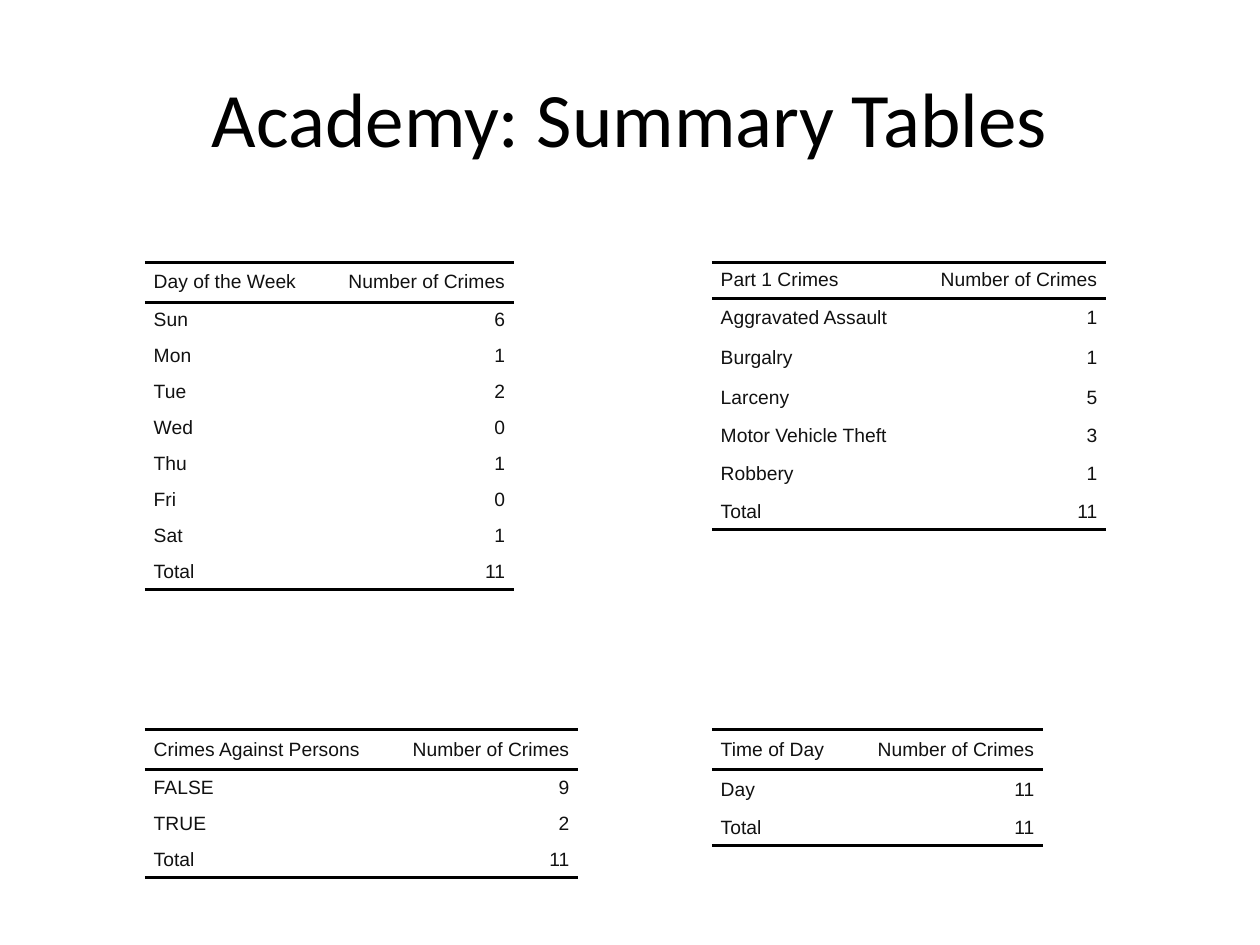
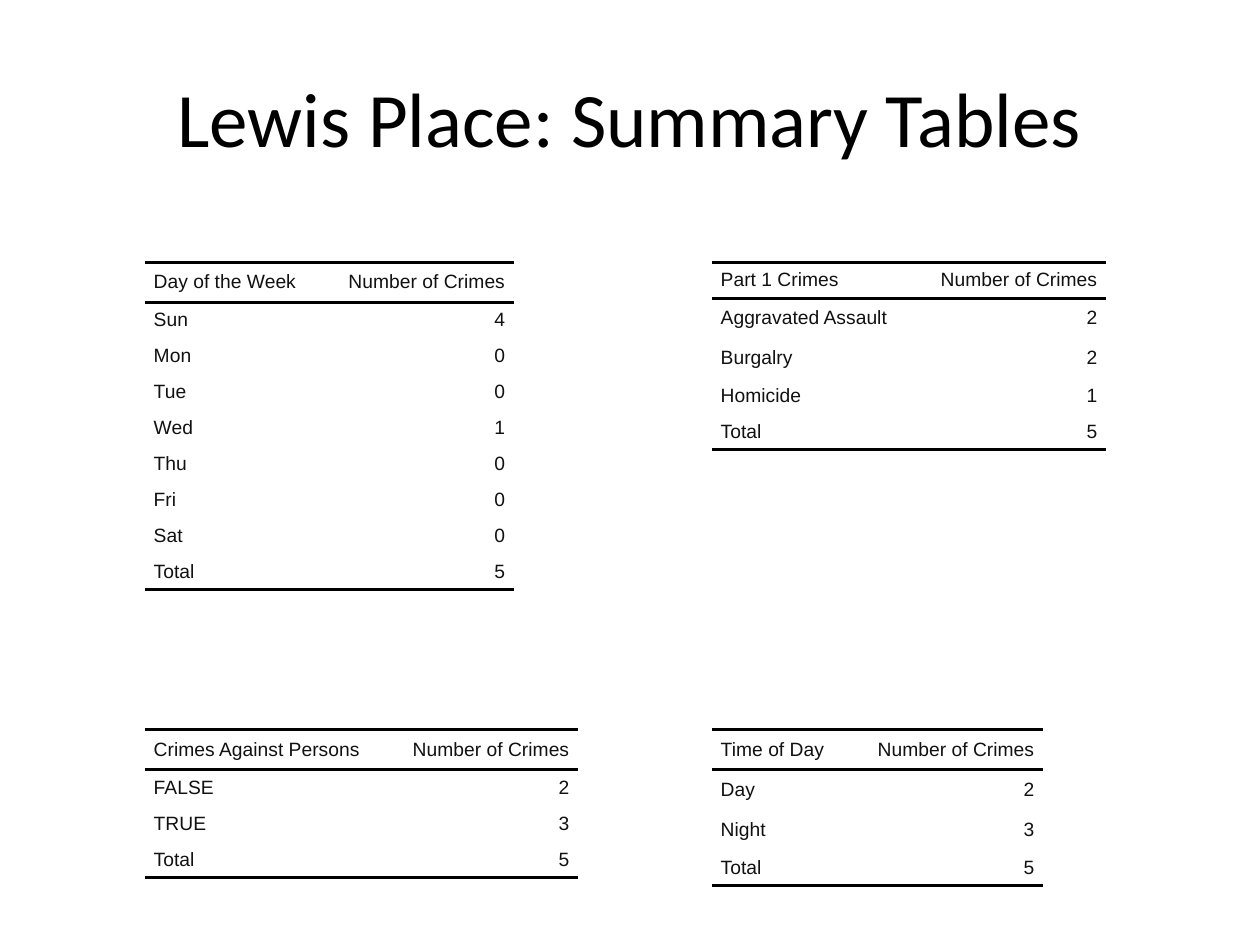
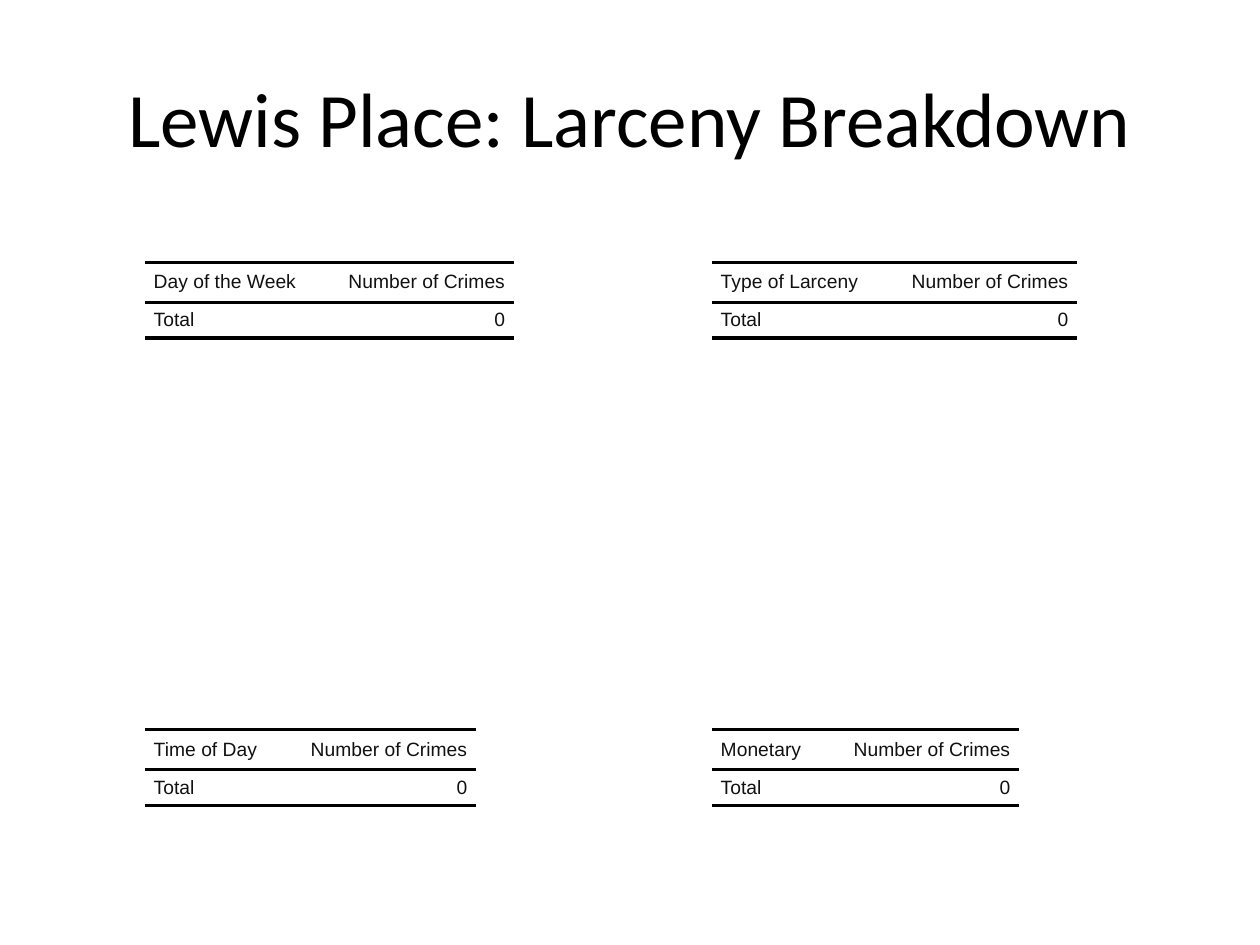
"""Build three slides of crime summary tables on a two-by-two grid."""
from lxml import etree
from pptx import Presentation
from pptx import util as u
from pptx.dml.color import RGBColor
from pptx.enum import text
from pptx.oxml import ns

DAYS = ("Sun", "Mon", "Tue", "Wed", "Thu", "Fri", "Sat")
PERSONS = ("FALSE", "TRUE")

SLIDES = [
    ("Academy: Summary Tables", [
        [("Day of the Week", list(zip(DAYS, (6, 1, 2, 0, 1, 0, 1)))),
         ("Part 1 Crimes", [("Aggravated Assault", 1), ("Burgalry", 1), ("Larceny", 5),
                            ("Motor Vehicle Theft", 3), ("Robbery", 1)])],
        [("Crimes Against Persons", list(zip(PERSONS, (9, 2)))),
         ("Time of Day", [("Day", 11)])],
    ]),
    ("Lewis Place: Summary Tables", [
        [("Day of the Week", list(zip(DAYS, (4, 0, 0, 1, 0, 0, 0)))),
         ("Part 1 Crimes", [("Aggravated Assault", 2), ("Burgalry", 2), ("Homicide", 1)])],
        [("Crimes Against Persons", list(zip(PERSONS, (2, 3)))),
         ("Time of Day", [("Day", 2), ("Night", 3)])],
    ]),
    ("Lewis Place: Larceny Breakdown", [
        [("Day of the Week", []), ("Type of Larceny", [])],
        [("Time of Day", []), ("Monetary", [])],
    ]),
]

LABEL_WIDTHS = {
    "Day of the Week": 1.41, "Part 1 Crimes": 1.61, "Crimes Against Persons": 1.92,
    "Time of Day": 1.11, "Type of Larceny": 1.38, "Monetary": 0.92,
}
COUNT_WIDTH = 1.52
GRID_LEFTS = (1.15, 5.65)
GRID_TOPS = (2.08, 5.79)
ROW_HEIGHT, DESCENDER_ROW_HEIGHT = u.Pt(20.57), u.Pt(22.86)
CELL_INDENT = u.Inches(0.07)
NO_STYLE = "{2D5ABB26-0587-4C30-8999-92F81FD0307C}"

BLACK = RGBColor(0x00, 0x00, 0x00)
INK = RGBColor(0x11, 0x11, 0x11)


def style_font(font, name, size, color):
    font.name, font.size, font.color.rgb = name, u.Pt(size), color


def add_title(slide, title):
    box = slide.shapes.add_textbox(u.Inches(0.5), u.Inches(0.3), u.Inches(9), u.Inches(1.25))
    frame = box.text_frame
    frame.word_wrap = True
    frame.vertical_anchor = text.MSO_ANCHOR.MIDDLE
    frame.text = title
    para = frame.paragraphs[0]
    para.alignment = text.PP_ALIGN.CENTER
    style_font(para.runs[0].font, "Calibri", 44, BLACK)


def add_rule(cell, side):
    line = etree.SubElement(cell._tc.get_or_add_tcPr(), ns.qn(f"a:ln{side}"), w=str(u.Pt(2)))
    fill = etree.SubElement(line, ns.qn("a:solidFill"))
    etree.SubElement(fill, ns.qn("a:srgbClr"), val=str(BLACK))


def fill_cell(cell, value, alignment, sides):
    cell.margin_left = cell.margin_right = cell.margin_top = cell.margin_bottom = 0
    cell.vertical_anchor = text.MSO_ANCHOR.MIDDLE
    for side in sides:
        add_rule(cell, side)
    cell.fill.background()
    cell.text_frame.text = str(value)
    para = cell.text_frame.paragraphs[0]
    para.alignment = alignment
    para.space_before = para.space_after = u.Pt(2)
    properties = para._p.get_or_add_pPr()
    for margin in ("marL", "marR"):
        properties.set(margin, str(CELL_INDENT))
    properties.set("indent", "0")
    style_font(para.runs[0].font, "Arial", 11, INK)


def add_summary(slide, left, top, heading, counts):
    total = sum(count for _, count in counts)
    rows = [(heading, "Number of Crimes"), *counts, ("Total", total)]
    heights = [DESCENDER_ROW_HEIGHT if set(label) & set("gjpqy") else ROW_HEIGHT
               for label, _ in rows]
    widths = [u.Inches(LABEL_WIDTHS[heading]), u.Inches(COUNT_WIDTH)]
    table = slide.shapes.add_table(len(rows), len(widths), u.Inches(left), u.Inches(top),
                                   sum(widths), sum(heights)).table
    table.first_row = table.horz_banding = False
    table._tbl.tblPr.find(ns.qn("a:tableStyleId")).text = NO_STYLE
    for column, width in zip(table.columns, widths):
        column.width = width
    rules = {0: "TB", len(rows) - 1: "B"}
    for index, (values, height) in enumerate(zip(rows, heights)):
        table.rows[index].height = height
        for cell, value, alignment in zip(table.rows[index].cells, values,
                                          (text.PP_ALIGN.LEFT, text.PP_ALIGN.RIGHT)):
            fill_cell(cell, value, alignment, rules.get(index, ""))


def main():
    deck = Presentation()
    deck.slide_width, deck.slide_height = u.Inches(10), u.Inches(7.5)
    for title, grid in SLIDES:
        slide = deck.slides.add_slide(deck.slide_layouts[6])
        add_title(slide, title)
        for top, summaries in zip(GRID_TOPS, grid):
            for left, (heading, counts) in zip(GRID_LEFTS, summaries):
                add_summary(slide, left, top, heading, counts)
    deck.save("out.pptx")


if __name__ == "__main__":
    main()
